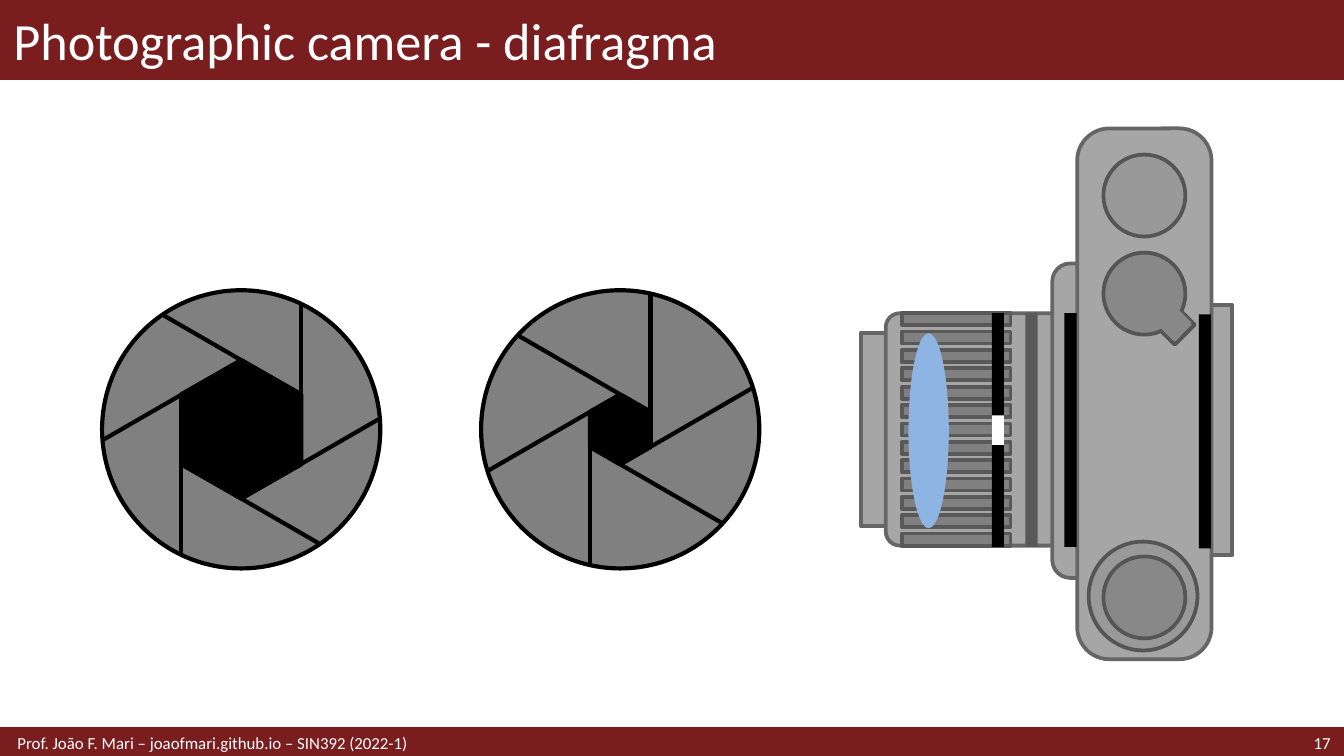
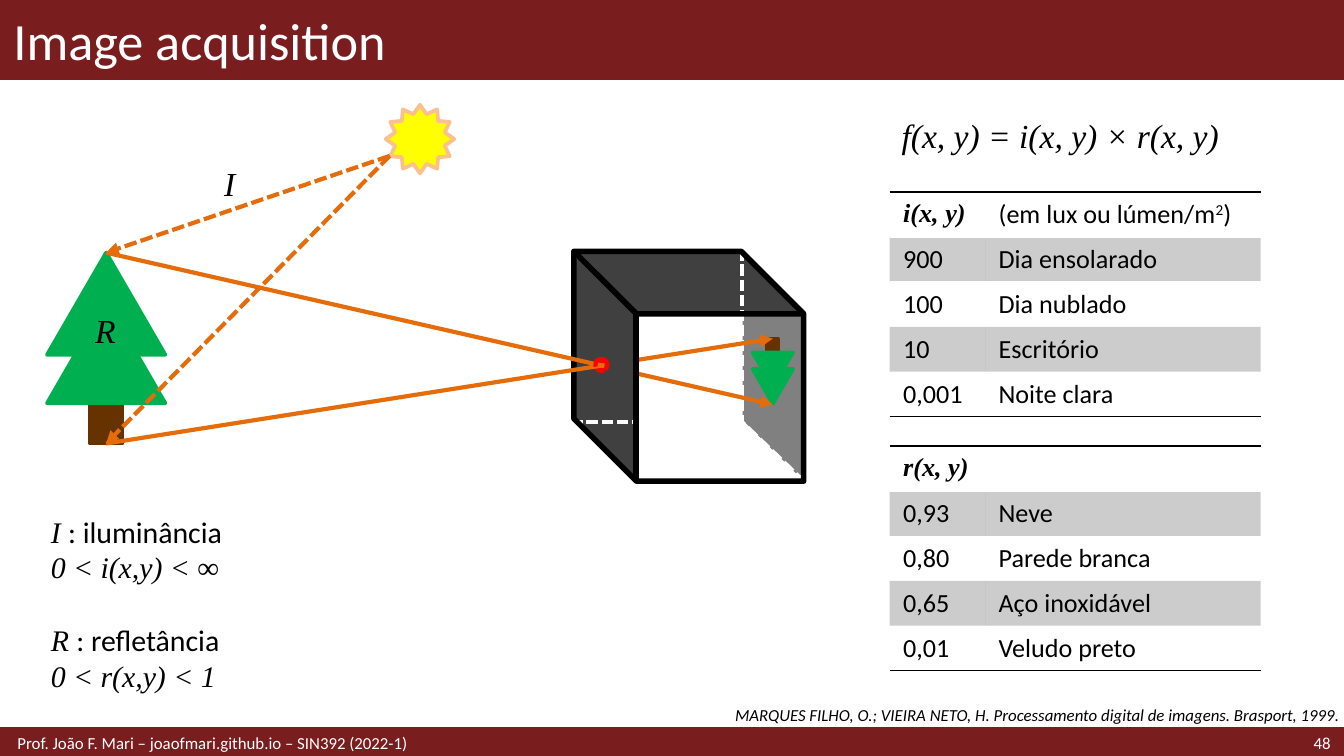
from math import cos, radians, sin
from lxml.etree import SubElement
from pptx import Presentation
from pptx.dml.color import RGBColor
from pptx.enum.dml import MSO_LINE as Dash
from pptx.enum.shapes import MSO_CONNECTOR as Wire, MSO_SHAPE as Kind
from pptx.enum.text import MSO_ANCHOR as Anchor, MSO_AUTO_SIZE as Fit, PP_ALIGN as Align
from pptx.oxml.ns import qn
from pptx.util import Inches, Pt

WINE, WHITE, BLACK = "791D1F", "FFFFFF", "000000"
BODY, EDGE, KNOB, RIM, GREY = "A6A6A6", "666666", "888888", "555555", "808080"
DARK, SLATE, BLUE, RED = "404040", "595959", "8EB4E3", "FF0000"
LEAF, BARK, ORANGE, SUN, GLOW = "00B050", "663300", "E46C0A", "FFFF00", "FAC090"
SANS, SERIF = "Calibri", "Times New Roman"
NO_STYLE = "{2D5ABB26-0587-4C30-8999-92F81FD0307C}"


def ink(fill, color):
    if color is None:
        fill.background()
    else:
        fill.solid()
        fill.fore_color.rgb = RGBColor.from_string(color)


def write(frame, lines, size=14, font=SANS, color=BLACK, bold=False,
          italic=False, align=Align.LEFT, anchor=Anchor.TOP):
    frame.vertical_anchor = anchor
    for i, line in enumerate(lines):
        para = frame.paragraphs[0] if i == 0 else frame.add_paragraph()
        para.alignment = align
        runs = [(line, {})] if isinstance(line, str) else line
        for words, own in runs:
            run = para.add_run()
            run.text = words
            run.font.size = Pt(size)
            run.font.name = own.get("font", font)
            run.font.bold = own.get("bold", bold)
            run.font.italic = own.get("italic", italic)
            ink(run.font.fill, color)
            if "base" in own:
                run.font._element.set("baseline", str(own["base"]))


def stroke(line, color, width, dash):
    ink(line.fill, color)
    if color:
        line.width = Pt(width)
        if dash:
            line.dash_style = Dash.SQUARE_DOT


class Area:
    def __init__(self, slide, x=0, y=0):
        self.slide, self.x, self.y = slide, x, y

    def place(self, x, y):
        return Inches(self.x + x), Inches(self.y + y)

    def shape(self, kind, x, y, w, h, fill=None, line=None, width=2,
              turn=0, adj=None, flip=False, dash=False):
        shape = self.slide.shapes.add_shape(kind, *self.place(x, y), Inches(w), Inches(h))
        shape.shadow.inherit = False
        ink(shape.fill, fill)
        stroke(shape.line, line, width, dash)
        shape.rotation = turn
        for i, value in enumerate(adj or []):
            shape.adjustments[i] = value
        if flip:
            shape._element.spPr.xfrm.set("flipH", "1")
        return shape

    def line(self, start, end, color, width=2.25, dash=False, arrow=False):
        wire = self.slide.shapes.add_connector(
            Wire.STRAIGHT, *self.place(*start), *self.place(*end))
        stroke(wire.line, color, width, dash)
        if arrow:
            SubElement(wire.line._get_or_add_ln(), qn("a:tailEnd"), type="triangle")
        SubElement(wire._element.spPr, qn("a:effectLst"))
        return wire

    def text(self, x, y, w, h, lines, wrap=False, pad=None, **style):
        box = self.slide.shapes.add_textbox(*self.place(x, y), Inches(w), Inches(h))
        frame = box.text_frame
        frame.word_wrap = wrap
        if pad is not None:
            frame.margin_left = frame.margin_right = Inches(pad)
            frame.margin_top = frame.margin_bottom = Inches(0.04)
        write(frame, lines, **style)
        return frame


def bands(slide, layout):
    area = Area(slide)
    for y, h, width in ((0, 0.59, 1), (5.42, 0.21, 2)):
        band = area.shape(Kind.RECTANGLE, 0, y, 10, h, WINE, WINE, width)
        layout.shapes._spTree.append(band._element)


def start(deck, title, number):
    layout = deck.slide_layouts[5]
    slide = deck.slides.add_slide(layout)
    if len(deck.slides) == 1:
        bands(slide, layout)
    head = slide.shapes.title
    head.left, head.top, head.width, head.height = 0, 0, Inches(10), Inches(0.59)
    head.text_frame.auto_size = Fit.NONE
    write(head.text_frame, [title], size=28, color=WHITE, anchor=Anchor.MIDDLE)
    area = Area(slide)
    style = dict(wrap=True, size=9, color=WHITE, anchor=Anchor.MIDDLE)
    area.text(8.86, 5.42, 1.14, 0.21, [number], align=Align.RIGHT, **style)
    area.text(0, 5.42, 6.89, 0.21,
              ["Prof. João F. Mari – joaofmari.github.io – SIN392 (2022-1)"],
              pad=0.13, **style)
    return slide


def camera(slide, x, y):
    area = Area(slide, x, y)
    for kind, at, adj in (
            (Kind.RECTANGLE, (-0.62, 2.15, 1.44, 0.19), None),
            (Kind.ROUNDED_RECTANGLE, (0.22, 1.35, 1.73, 1.79), [0.061]),
            (Kind.RECTANGLE, (1.44, 1.85, 1.86, 0.8), None),
            (Kind.ROUNDED_RECTANGLE, (0.66, 1.78, 2.34, 0.8), None),
            (Kind.ROUNDED_RECTANGLE, (0.14, 1.48, 3.95, 1), [0.239])):
        area.shape(kind, *at, BODY, EDGE, turn=270, adj=adj)
    area.shape(Kind.OVAL, 1.81, 0.2, 0.61, 0.61, "999999", RIM)
    area.shape(Kind.RECTANGLE, 2.24, 1.37, 0.21, 0.2, KNOB, RIM, turn=315)
    area.shape(Kind.OVAL, 1.7, 3.08, 0.81, 0.81, "999999", RIM)
    for top in (3.19, 0.93):
        area.shape(Kind.OVAL, 1.81, top, 0.61, 0.61, KNOB, RIM)
    area.shape(Kind.RECTANGLE, 2.23, 1.34, 0.19, 0.21, KNOB, turn=315)
    for i in reversed(range(13)):
        area.shape(Kind.RECTANGLE, 0.67, 1.02 + 1.64 / 12 * i, 0.09, 0.81,
                   GREY, SLATE, turn=270)
    area.shape(Kind.RECTANGLE, 1.23, 1.38, 0.09, 1.74, SLATE)
    area.shape(Kind.OVAL, 0.36, 1.53, 0.3, 1.45, BLUE)
    for left, top in ((1.52, 1.38), (0.98, 1.38), (2.52, 1.39)):
        area.shape(Kind.RECTANGLE, left, top, 0.09, 1.74, BLACK)
    area.shape(Kind.RECTANGLE, 0.98, 2.14, 0.09, 0.22, WHITE)


def iris(slide, x, y, size, hole, blade):
    area = Area(slide, x, y)
    mid = size / 2
    high = hole * cos(radians(30))
    area.shape(Kind.OVAL, 0, 0, size, size, GREY, BLACK, 2.25)
    area.shape(Kind.HEXAGON, mid - hole, mid - high, 2 * hole, 2 * high,
               BLACK, BLACK, 2.25, turn=90, adj=[0.285])
    for i in range(6):
        spot, way = radians(30 - 60 * i), radians(-90 - 60 * i)
        px, py = mid + hole * cos(spot), mid + hole * sin(spot)
        area.line((px, py), (px + blade * cos(way), py + blade * sin(way)), BLACK)


def tree(slide, x, y, wide, down=False):
    area = Area(slide, x, y)
    k = wide / 0.88

    def part(kind, left, top, w, h, color):
        if down:
            top = 1.42 - top - h
        return area.shape(kind, left * k, top * k, w * k, h * k, color, color,
                          turn=180 if down and color == LEAF else 0)

    trunk = part(Kind.RECTANGLE, 0.32, 1, 0.24, 0.42, BARK)
    tops = [part(Kind.ISOSCELES_TRIANGLE, 0, top, 0.88, 0.76, LEAF)
            for top in (0, 0.36)]
    return trunk, tops[0]


def scene(slide, x, y):
    area = Area(slide, x, y)
    for left, color in ((4.55, GREY), (3.29, DARK)):
        area.shape(Kind.PARALLELOGRAM, left, 1.72, 1.71, 0.46, color,
                   turn=90, adj=[1.002])
    area.shape(Kind.PARALLELOGRAM, 3.92, 1.09, 1.71, 0.46, DARK, adj=[1.002], flip=True)
    stub, _ = tree(slide, x + 5.25, y + 1.74, 0.3, down=True)
    area.shape(Kind.RECTANGLE, 3.92, 1.09, 1.25, 1.27, line=WHITE, dash=True)
    area.line((5.64, 2.81), (5.17, 2.36), WHITE, dash=True)
    trunk, crown = tree(slide, x, y + 1.1, 0.88)
    area.shape(Kind.CUBE, 3.92, 1.09, 1.71, 1.71, line=BLACK, width=3,
               adj=[0.272], flip=True)
    area.shape(Kind.OVAL, 4.08, 1.89, 0.09, 0.09, RED, RED, 2.25)
    area.shape(Kind.STAR_12_POINT, 2.52, 0, 0.51, 0.51, SUN, GLOW)
    lamp, tip, foot = (2.55, 0.38), (0.44, 1.1), (0.44, 2.52)
    for goal, part, side in ((tip, crown, 0), (foot, trunk, 2)):
        ray = area.line(lamp, goal, ORANGE, dash=True, arrow=True)
        ray.end_connect(part, side)
    ray = area.line(tip, (5.4, 2.23), ORANGE, arrow=True)
    ray.begin_connect(crown, 0)
    ray = area.line(foot, (5.4, 1.74), ORANGE, arrow=True)
    ray.begin_connect(trunk, 2)
    ray.end_connect(stub, 0)
    area.shape(Kind.RECTANGLE, 4.15, 1.6, 0.23, 0.71, DARK)
    area.line((4.38, 1.55), (4.38, 2.81), BLACK, 3)
    area.shape(Kind.ARC, 4.08, 1.89, 0.09, 0.09, line=RED, width=2.25,
               adj=[162.74 * 0.6, 52.87 * 0.6])


def border(cell, side, color, width):
    edge = SubElement(cell._tc.get_or_add_tcPr(), qn("a:ln" + side), w=str(Pt(width)))
    SubElement(SubElement(edge, qn("a:solidFill")), qn("a:srgbClr"), val=color)


def grid(slide, x, y, rows):
    last = len(rows) - 1
    frame = slide.shapes.add_table(len(rows), 2, Inches(x), Inches(y),
                                   Inches(2.76), Inches(1.67))
    table = frame.table
    table.first_row = table.horz_banding = False
    table._tbl.tblPr.find(qn("a:tableStyleId")).text = NO_STYLE
    for col, wide in zip(table.columns, (0.71, 2.05)):
        col.width = Inches(wide)
    for r, row in enumerate(rows):
        for c, words in enumerate(row):
            cell = table.cell(r, c)
            name = r == 0 and c == 0
            if words:
                write(cell.text_frame, [words], font=SERIF if name else SANS,
                      bold=name, italic=name)
            else:
                SubElement(cell.text_frame.paragraphs[0]._p, qn("a:endParaRPr"), sz="1400")
            if r < 2:
                border(cell, "T", *((BLACK, 1) if r == 0 else (WHITE, 0.5)))
            if r in (0, last):
                border(cell, "B", *((WHITE, 0.5) if r == 0 else (BLACK, 1)))
            ink(cell.fill, BLACK if r % 2 else None)
            if r % 2:
                shade = cell._tc.tcPr.find(qn("a:solidFill")).find(qn("a:srgbClr"))
                SubElement(shade, qn("a:alpha"), val="20000")


def lens(deck):
    slide = start(deck, "Photographic camera - diafragma", "17")
    camera(slide, 6.4, 0.95)
    iris(slide, 0.76, 2.16, 2.07, 0.515, 1.18)
    iris(slide, 3.58, 2.16, 2.07, 0.26, 1.13)


def light(deck):
    slide = start(deck, "Image acquisition", "48")
    scene(slide, 0.35, 0.78)
    area = Area(slide)
    math = dict(font=SERIF, italic=True)
    area.text(6.61, 0.81, 2.76, 0.4, ["f(x, y) = i(x, y) × r(x, y)"], size=18, **math)
    unit = [("(em lux ou lúmen/m", {}), ("2", {"base": 30000}), (")", {})]
    grid(slide, 6.62, 1.43, [("i(x, y)", unit), ("900", "Dia ensolarado"),
                             ("100", "Dia nublado"), ("10", "Escritório"),
                             ("0,001", "Noite clara")])
    grid(slide, 6.62, 3.32, [("r(x, y)", ""), ("0,93", "Neve"),
                             ("0,80", "Parede branca"), ("0,65", "Aço inoxidável"),
                             ("0,01", "Veludo preto")])
    area.text(5.22, 5.2, 4.78, 0.23,
              ["MARQUES FILHO, O.; VIEIRA NETO, H. Processamento digital de imagens. Brasport, 1999."],
              wrap=True, pad=0.04, size=9, italic=True, align=Align.RIGHT)
    plain = dict(font=SANS, italic=False)
    key = area.text(0.28, 3.77, 1.57, 1.45,
                    [[("I ", {}), (": iluminância", plain)], "0 < i(x,y) < ∞",
                     [("R ", {}), (": refletância", plain)], "0 < r(x,y) < 1"],
                    size=16, **math)
    key.paragraphs[2].space_before = Pt(19.5)
    area.text(1.57, 1.16, 0.28, 0.4, ["I"], size=18, **math)
    area.text(0.61, 2.26, 0.36, 0.4, ["R"], size=18, **math)


def main():
    deck = Presentation()
    deck.slide_width = Inches(10)
    deck.slide_height = deck.slide_width * 9 // 16
    lens(deck)
    light(deck)
    deck.save("out.pptx")


if __name__ == "__main__":
    main()
